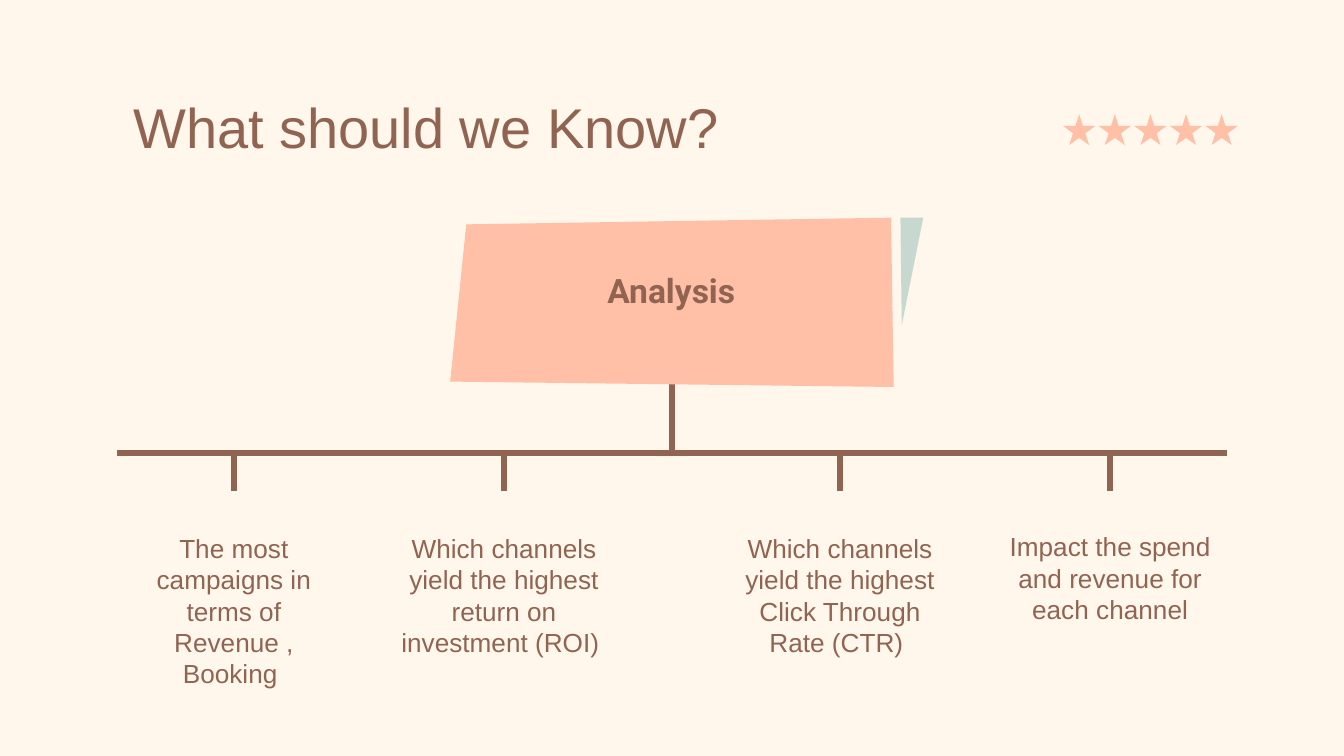
from lxml import etree
from pptx import Presentation
from pptx.dml.color import RGBColor
from pptx.enum import shapes, text
from pptx.oxml import ns
from pptx.util import Inches, Pt

BROWN, PEACH, MINT, CREAM = "916452", "FFC0A7", "C7D8D0", "FFF6EC"


def paint(fill, color):
    fill.solid()
    fill.fore_color.rgb = RGBColor.from_string(color)


def add_text(words, left, top, width, height, size, font="Arial",
             align=text.PP_ALIGN.CENTER, anchor=text.MSO_ANCHOR.TOP):
    box = page.shapes.add_textbox(Inches(left), Inches(top), Inches(width), Inches(height))
    frame = box.text_frame
    frame.word_wrap = True
    frame.vertical_anchor = anchor
    frame.margin_left = frame.margin_right = Inches(0.1)
    frame.margin_top = frame.margin_bottom = Inches(0.1)
    para = frame.paragraphs[0]
    para.text = words
    para.alignment = align
    para.font.name = font
    para.font.size = Pt(size)
    para.font.color.rgb = RGBColor.from_string(BROWN)
    return para


deck = Presentation()
deck.slide_width = Inches(10)
deck.slide_height = Inches(10 * 9 / 16)
page = deck.slides.add_slide(deck.slide_layouts[6])
paint(page.background.fill, CREAM)

for index in range(5):
    star = page.shapes.add_shape(
        shapes.MSO_SHAPE.STAR_5_POINT,
        Inches(7.91 + index * 1.06 / 4), Inches(0.85), Inches(0.24), Inches(0.23))
    star.shadow.inherit = False
    paint(star.fill, PEACH)
    star.line.fill.background()

add_text(" What should we Know?", 0.78, 0.59, 8.44, 0.63, 30, align=text.PP_ALIGN.LEFT)

questions = [
    (0.83, 3.86, "The most campaigns in terms of Revenue , Booking "),
    (5.34, 3.86, "Which channels yield the highest Click Through Rate (CTR) "),
    (2.84, 3.86, "Which channels yield the highest return on investment (ROI) "),
    (7.35, 3.85, "Impact the spend and revenue for each channel"),
]
for left, top, words in questions:
    add_text(words, left, top, 1.82, 1.25, 14)

bar_y = 3.37
branches = [(x, bar_y, x, 3.65) for x in (3.75, 6.25, 8.26, 1.74)]
for x1, y1, x2, y2 in [(0.87, bar_y, 9.13, bar_y), (5, 2.65, 5, 3.38)] + branches:
    line = page.shapes.add_connector(
        shapes.MSO_CONNECTOR.STRAIGHT, Inches(x1), Inches(y1), Inches(x2), Inches(y2))
    line.line.width = Pt(3)
    paint(line.line.fill, BROWN)
    etree.SubElement(line._element.spPr, ns.qn("a:effectLst"))

panels = [
    (MINT, [(6.7, 1.62), (6.87, 1.62), (6.71, 2.42)]),
    (PEACH, [(6.63, 1.62), (6.65, 2.88), (3.35, 2.84), (3.47, 1.67)]),
]
for color, corners in panels:
    points = [(Inches(x), Inches(y)) for x, y in corners]
    builder = page.shapes.build_freeform(*points[0])
    builder.add_line_segments(points[1:], close=True)
    panel = builder.convert_to_shape()
    panel.shadow.inherit = False
    paint(panel.fill, color)
    panel.line.fill.background()

heading = add_text("Analysis", 3.65, 2.02, 2.69, 0.39, 18, "Roboto",
                   anchor=text.MSO_ANCHOR.BOTTOM)
heading.font.bold = True

deck.save("out.pptx")
